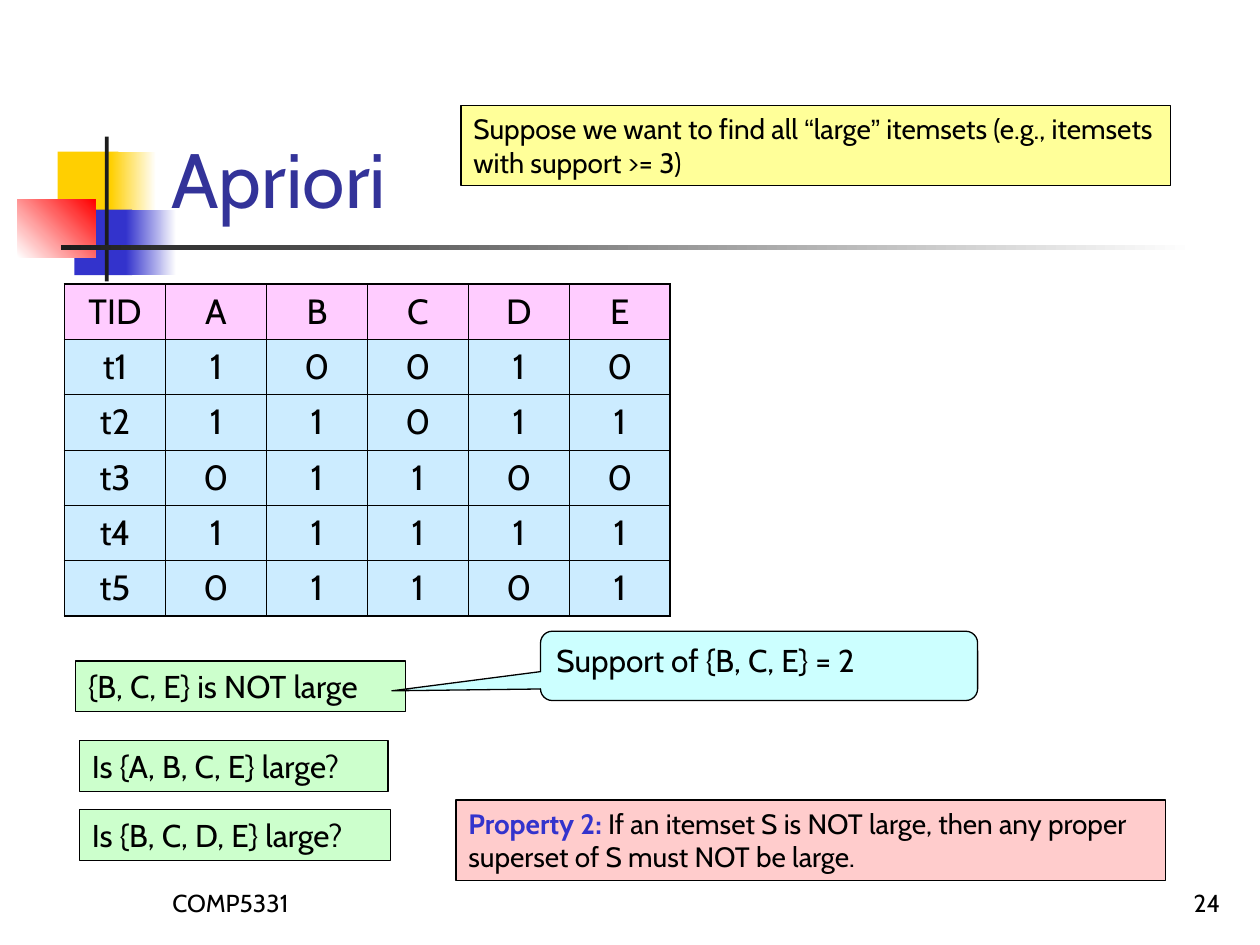
from lxml.etree import SubElement
from pptx import Presentation
from pptx.dml.color import RGBColor
from pptx.enum.shapes import MSO_SHAPE as Shape
from pptx.enum.text import MSO_ANCHOR as Anchor, PP_ALIGN as Align
from pptx.oxml.ns import qn
from pptx.util import Pt

FONT = "Cabin"
BLACK = "000000"
WHITE = "FFFFFF"
GREEN = "CCFFCC"


def color(value):
    return RGBColor.from_string(value)


def format_run(run, size, ink=BLACK, name=FONT, bold=False):
    run.font.size = Pt(size)
    run.font.name = name
    run.font.bold = bold
    run.font.color.rgb = color(ink)


def write_runs(frame, parts, size, align=Align.LEFT, anchor=Anchor.TOP):
    frame.word_wrap = True
    frame.vertical_anchor = anchor
    paragraph = frame.paragraphs[0]
    paragraph.alignment = align
    for text, style in parts:
        run = paragraph.add_run()
        run.text = text
        format_run(run, size, **style)


def add_block(slide, box, fill, fade=None, angle=0):
    shape = slide.shapes.add_shape(Shape.RECTANGLE, *map(Pt, box))
    shape.shadow.inherit = False
    shape.line.fill.background()
    if fade is None:
        shape.fill.solid()
        shape.fill.fore_color.rgb = color(fill)
        return
    shape.fill.gradient()
    shape.fill.gradient_angle = angle
    for stop, value in zip(shape.fill.gradient_stops, (fill, fade)):
        stop.color.rgb = color(value)


def add_emblem(slide, left, top):
    blocks = [
        (23, 8.6, 34.6, 37.4, "FFCF01"),
        (53.3, 8.6, 25.9, 37.4, "FFCF01", WHITE),
        (32.5, 41.8, 33.1, 37.4, "3333CC"),
        (62, 41.8, 28.8, 37.4, "3333CC", WHITE),
        (0, 36, 44.6, 33.1, WHITE, "FF0000", 45),
        (49.9, 0, 2.2, 82.8, "1C1C1C"),
        (24.9, 62.2, 648, 2.5, "1C1C1C", WHITE),
    ]
    for x, y, width, height, *paint in blocks:
        add_block(slide, (left + x, top + y, width, height), *paint)


def add_title(slide, box, text):
    title = slide.shapes.title
    title.left, title.top, title.width, title.height = map(Pt, box)
    write_runs(title.text_frame, [(text, {"ink": "333399"})], 44, anchor=Anchor.BOTTOM)
    slide.shapes._spTree.append(title._element)


def add_footer(slide, box, text, align):
    footer = slide.shapes.add_textbox(*map(Pt, box))
    write_runs(footer.text_frame, [(text, {})], 14, align, Anchor.BOTTOM)


def add_note(slide, box, fill, parts, size, kind=Shape.RECTANGLE, adjustments=()):
    note = slide.shapes.add_shape(kind, *map(Pt, box))
    note.shadow.inherit = False
    for index, value in enumerate(adjustments):
        note.adjustments[index] = value
    note.fill.solid()
    note.fill.fore_color.rgb = color(fill)
    note.line.color.rgb = color(BLACK)
    note.line.width = Pt(0.75)
    write_runs(note.text_frame, parts, size)


def add_border(cell, side, width):
    line = SubElement(cell._tc.get_or_add_tcPr(), qn(f"a:ln{side}"), w=str(Pt(width)))
    fill = SubElement(line, qn("a:solidFill"))
    SubElement(fill, qn("a:srgbClr"), val=BLACK)


def add_transactions(slide, box, rows):
    row_count, column_count = len(rows), len(rows[0])
    table = slide.shapes.add_table(row_count, column_count, *map(Pt, box)).table
    table.first_row = table.horz_banding = False
    for column in table.columns:
        column.width = Pt(box[2] / column_count)
    for row in table.rows:
        row.height = Pt(box[3] / row_count)
    for i, values in enumerate(rows):
        for j, value in enumerate(values):
            cell = table.cell(i, j)
            outer_sides = {
                "L": j == 0,
                "R": j == column_count - 1,
                "T": i == 0,
                "B": i == row_count - 1,
            }
            for side, outer in outer_sides.items():
                add_border(cell, side, 1.08 if outer else 0.45)
            cell.fill.solid()
            cell.fill.fore_color.rgb = color("CCECFF" if i else "FFCCFF")
            cell.text_frame.text = value
            paragraph = cell.text_frame.paragraphs[0]
            paragraph.alignment = Align.CENTER
            format_run(paragraph.runs[0], 20)


def main():
    presentation = Presentation()
    presentation.slide_width, presentation.slide_height = Pt(720), Pt(540)
    slide = presentation.slides.add_slide(presentation.slide_layouts[5])

    add_emblem(slide, 10, 78)
    add_footer(slide, (91.4, 491.8, 150, 36), "COMP5331", Align.LEFT)
    add_footer(slide, (554.4, 491.8, 150, 36), "24", Align.RIGHT)
    add_title(slide, (90.7, 16.6, 613.4, 115.2), "Apriori")

    lines = ["TID A B C D E", "t1 1 0 0 1 0", "t2 1 1 0 1 1",
             "t3 0 1 1 0 0", "t4 1 1 1 1 1", "t5 0 1 1 0 1"]
    add_transactions(slide, (36.9, 162.3, 346.2, 189.6), [line.split() for line in lines])

    quote = {"name": "Arial"}
    goal = [
        ("Suppose we want to find all ", {}),
        ("“", quote),
        ("large", {}),
        ("”", quote),
        (" itemsets (e.g., itemsets with support >= 3)", {}),
    ]
    add_note(slide, (263.5, 60.3, 405.4, 45.8), "FFFF99", goal, 16)

    statements = [
        ((43.2, 377.7, 188.6, 29), "{B, C, E} is NOT large"),
        ((45.4, 423.2, 176.4, 29), "Is {A, B, C, E} large?"),
        ((45.4, 462.7, 177.8, 29), "Is {B, C, D, E} large?"),
    ]
    for box, text in statements:
        add_note(slide, box, GREEN, [(text, {})], 18)

    add_note(slide, (308.9, 360.7, 249.8, 39.6), "CCFFFF",
             [("Support of {B, C, E} = 2", {})], 18,
             Shape.ROUNDED_RECTANGULAR_CALLOUT, (-0.84, 0.36, 0.17))

    rule = [
        ("Property 2: ", {"ink": "3333CC", "bold": True}),
        ("If an itemset S is NOT large, then any proper superset of S must NOT be large.", {}),
    ]
    add_note(slide, (260.6, 457.2, 405.4, 45.8), "FFCCCC", rule, 16)

    presentation.save("out.pptx")


if __name__ == "__main__":
    main()
